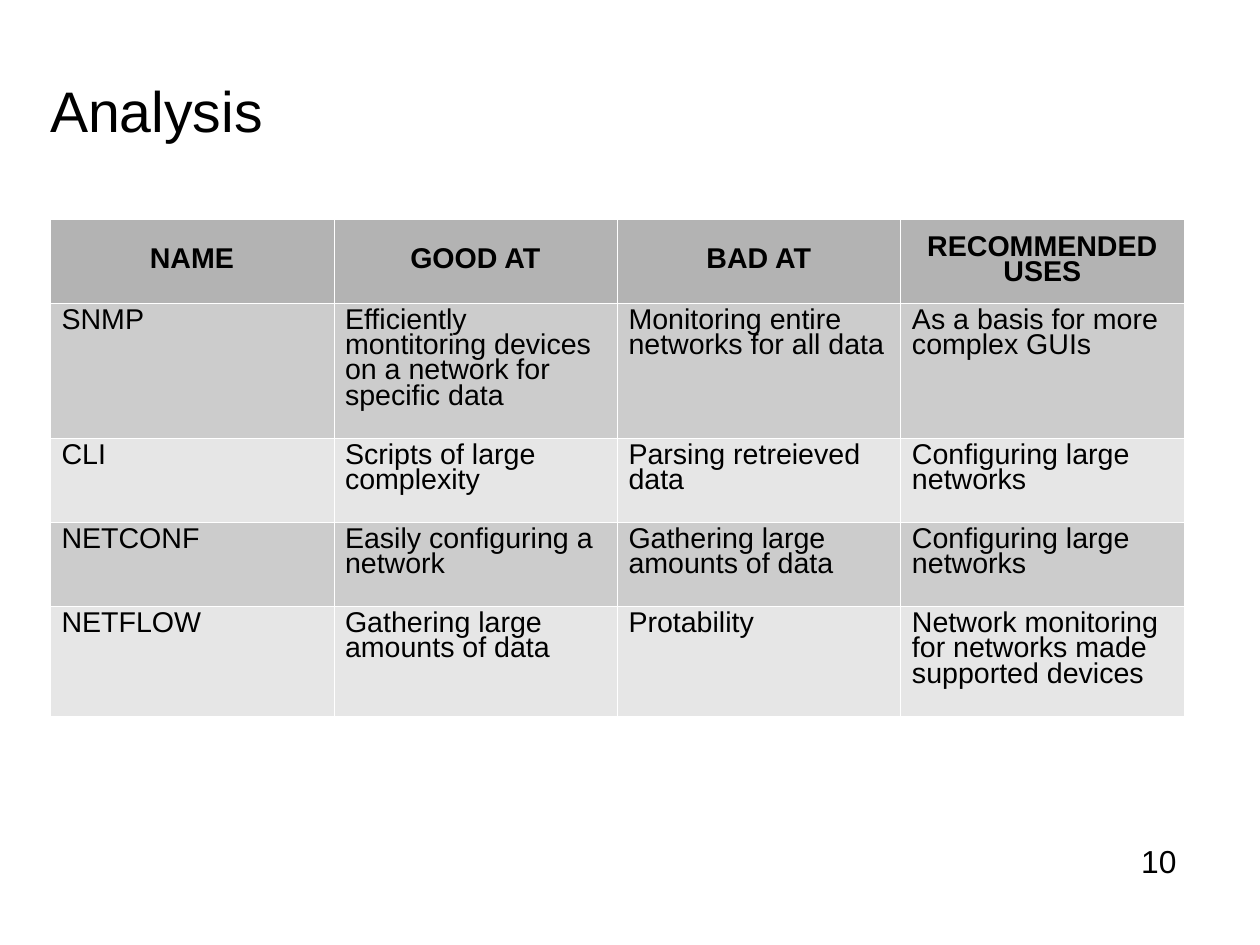
from dataclasses import dataclass
from typing import Any

from lxml.etree import SubElement
from pptx import Presentation
from pptx.dml.color import RGBColor
from pptx.enum.text import MSO_ANCHOR, PP_ALIGN
from pptx.oxml.ns import qn
from pptx.util import Inches, Length, Pt

WIDE, HIGH = 793.75, 595.25  # slide size in points
HUES = {"ink": "000000", "line": "FFFFFF", "head": "B3B3B3",
        "odd": "CCCCCC", "even": "E6E6E6"}
LINE = 762  # hairline width in EMU


@dataclass
class Label:
    """A text box; its box is in percent of the slide's size."""
    text: str
    box: tuple[float, float, float, float]
    size: int
    frame: dict[str, Any]


@dataclass
class Row:
    """A table row; its height is in percent of the slide's height."""
    high: float
    hue: str
    cells: tuple[str, ...]


LABELS = [
    Label("Analysis", (3.98, 7, 71.4, 9.5), 36,
          {"margin_left": 0, "margin_right": 0, "margin_top": Inches(0.03),
           "margin_bottom": 0, "vertical_anchor": MSO_ANCHOR.MIDDLE}),
    Label("10", (89.68, 88.85, 6.35, 4.96), 20, {}),
]

GRID = (3.98, 23.2, 90)  # left, top, width in percent
ROWS = [
    Row(8.9, "head", ("NAME", "GOOD AT", "BAD AT", "RECOMMENDED USES")),
    Row(14.3, "odd", ("SNMP",
                      "Efficiently montitoring devices on a network for specific data",
                      "Monitoring entire networks for all data",
                      "As a basis for more complex GUIs")),
    Row(8.9, "even", ("CLI", "Scripts of large complexity",
                      "Parsing retreieved data", "Configuring large networks")),
    Row(8.9, "odd", ("NETCONF", "Easily configuring a network",
                     "Gathering large amounts of data", "Configuring large networks")),
    Row(11.55, "even", ("NETFLOW", "Gathering large amounts of data", "Protability",
                        "Network monitoring for networks made supported devices")),
]


def across(share: float) -> Length:
    return Pt(WIDE * share / 100)


def down(share: float) -> Length:
    return Pt(HIGH * share / 100)


def apply(item: Any, form: dict[str, Any]) -> None:
    for key, value in form.items():
        setattr(item, key, value)


def write(frame: Any, text: str, size: int, para: dict[str, Any],
          bold: bool = False) -> None:
    line = frame.paragraphs[0]
    apply(line, para)
    run = line.add_run()
    run.text = text
    apply(run.font, {"name": "Arial", "size": Pt(size), "bold": bold})
    run.font.color.rgb = RGBColor.from_string(HUES["ink"])


def border(cell: Any) -> None:
    props = cell._tc.get_or_add_tcPr()
    for side in ("lnL", "lnR", "lnT", "lnB"):
        edge = SubElement(props, qn(f"a:{side}"), w=str(LINE))
        fill = SubElement(edge, qn("a:solidFill"))
        SubElement(fill, qn("a:srgbClr"), val=HUES["line"])


def put_label(slide: Any, label: Label) -> None:
    left, top, wide, high = label.box
    frame = slide.shapes.add_textbox(
        across(left), down(top), across(wide), down(high)).text_frame
    apply(frame, {"word_wrap": True, **label.frame})
    write(frame, label.text, label.size, {"line_spacing": 0.94})


def put_table(slide: Any, rows: list[Row]) -> None:
    left, top, wide = GRID
    count = len(rows[0].cells)
    table = slide.shapes.add_table(
        len(rows), count, across(left), down(top), across(wide),
        down(sum(row.high for row in rows))).table
    apply(table, {"first_row": False, "horz_banding": False})
    for col in table.columns:
        col.width = across(wide / count)
    for r, row in enumerate(rows):
        table.rows[r].height = down(row.high)
        head = row.hue == "head"
        para = {"line_spacing": 0.79,
                "alignment": PP_ALIGN.CENTER if head else PP_ALIGN.LEFT}
        for c, text in enumerate(row.cells):
            cell = table.cell(r, c)
            cell.vertical_anchor = MSO_ANCHOR.MIDDLE if head else MSO_ANCHOR.TOP
            border(cell)
            cell.fill.solid()
            cell.fill.fore_color.rgb = RGBColor.from_string(HUES[row.hue])
            write(cell.text_frame, text, 18, para, head)


def main() -> None:
    deck = Presentation()
    deck.slide_width = Pt(WIDE)
    deck.slide_height = Pt(HIGH)
    slide = deck.slides.add_slide(deck.slide_layouts[6])
    # Title
    title, number = LABELS
    put_label(slide, title)
    # Comparison table
    put_table(slide, ROWS)
    # Page number
    put_label(slide, number)
    deck.save("out.pptx")


if __name__ == "__main__":
    main()
